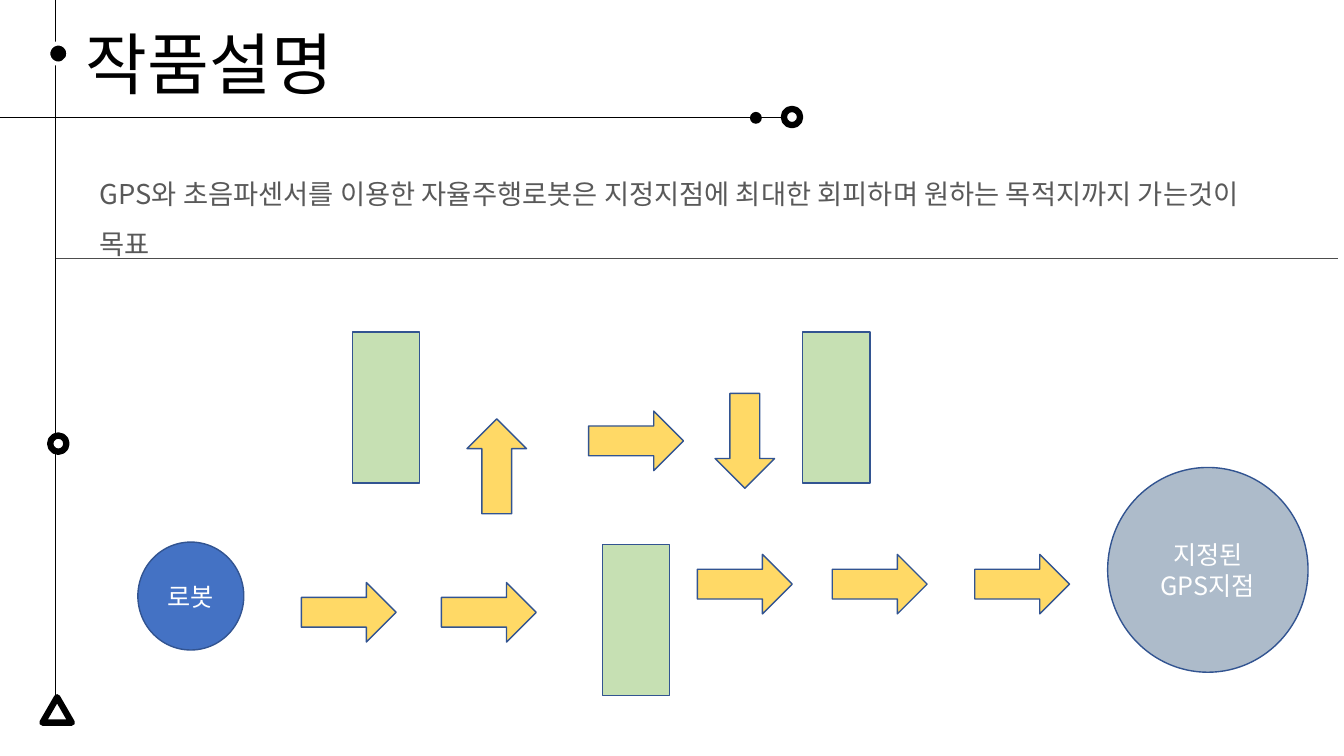
from lxml.etree import SubElement
from pptx import Presentation
from pptx.dml.color import RGBColor
from pptx.enum.shapes import MSO_CONNECTOR, MSO_SHAPE
from pptx.enum.text import MSO_ANCHOR, PP_ALIGN
from pptx.oxml.ns import qn
from pptx.util import Cm, Pt

FONT = "Noto Sans CJK KR"
BLACK = RGBColor(0x00, 0x00, 0x00)
WHITE = RGBColor(0xFF, 0xFF, 0xFF)
DARK_GREY = RGBColor(0x4D, 0x4D, 0x4D)
TEXT_GREY = RGBColor(0x59, 0x59, 0x59)
OUTLINE_BLUE = RGBColor(0x32, 0x54, 0x91)
ROBOT_BLUE = RGBColor(0x44, 0x72, 0xC4)
GOAL_GREY = RGBColor(0xAD, 0xBB, 0xCA)
OBSTACLE_GREEN = RGBColor(0xC6, 0xE0, 0xB3)
ARROW_YELLOW = RGBColor(0xFF, 0xD9, 0x66)


def write_lines(frame, lines, size, color, align=PP_ALIGN.LEFT, spacing=None):
    for index, line in enumerate(lines):
        paragraph = frame.paragraphs[0] if index == 0 else frame.add_paragraph()
        paragraph.text = line
        paragraph.alignment = align
        paragraph.line_spacing = spacing
        font = paragraph.font
        font.size = Pt(size)
        font.name = FONT
        font.color.rgb = color
        properties = paragraph._p.pPr.find(qn("a:defRPr"))
        SubElement(properties, qn("a:ea")).set("typeface", FONT)


def add_text(slide, left, top, width, height, text, size, color, wrap, spacing=None):
    box = slide.shapes.add_textbox(Cm(left), Cm(top), Cm(width), Cm(height))
    box.text_frame.word_wrap = wrap
    write_lines(box.text_frame, [text], size, color, spacing=spacing)


def add_line(slide, x1, y1, x2, y2, color):
    line = slide.shapes.add_connector(
        MSO_CONNECTOR.STRAIGHT, Cm(x1), Cm(y1), Cm(x2), Cm(y2)
    )
    line.line.color.rgb = color
    line.line.width = Pt(0.5)
    SubElement(line._element.spPr, qn("a:effectLst"))


def add_centered(slide, kind, x, y, width, height, fill,
                 outline=OUTLINE_BLUE, weight=1):
    shape = slide.shapes.add_shape(
        kind, Cm(x - width / 2), Cm(y - height / 2), Cm(width), Cm(height)
    )
    shape.shadow.inherit = False
    shape.fill.solid()
    shape.fill.fore_color.rgb = fill
    if outline is None:
        shape.line.fill.background()
    else:
        shape.line.color.rgb = outline
        shape.line.width = Pt(weight)
    return shape


def add_place(slide, x, y, width, height, fill, lines):
    place = add_centered(slide, MSO_SHAPE.OVAL, x, y, width, height, fill)
    place.text_frame.word_wrap = True
    place.text_frame.vertical_anchor = MSO_ANCHOR.MIDDLE
    write_lines(place.text_frame, lines, 18, WHITE, PP_ALIGN.CENTER)


def add_frame(slide):
    add_line(slide, 0, 2.95, 20.14, 2.95, BLACK)
    add_line(slide, 1.4, 0, 1.4, 18.06, BLACK)
    add_line(slide, 1.4, 6.5, 33.73, 6.5, DARK_GREY)
    add_centered(slide, MSO_SHAPE.OVAL, 19.05, 2.97, 0.3, 0.3, BLACK, None)
    add_centered(slide, MSO_SHAPE.OVAL, 1.47, 1.35, 0.51, 0.51, BLACK, WHITE, 3)
    for x, y in [(1.47, 11.18), (19.96, 2.95)]:
        add_centered(slide, MSO_SHAPE.OVAL, x, y, 0.41, 0.41, WHITE, BLACK, 4.5)
    add_centered(slide, MSO_SHAPE.ISOSCELES_TRIANGLE, 1.44, 17.89, 0.74, 0.64,
                 WHITE, BLACK, 4.5)


def add_route(slide):
    for x, y in [(9.73, 10.27), (21.08, 10.27), (16.03, 15.63)]:
        add_centered(slide, MSO_SHAPE.RECTANGLE, x, y, 1.7, 3.81, OBSTACLE_GREEN)
    steps = [
        (8.79, 15.43, 0), (12.32, 15.43, 0), (12.52, 11.75, 270),
        (16.03, 11.11, 0), (18.77, 11.11, 90),
        (18.77, 14.72, 0), (22.17, 14.72, 0), (25.76, 14.72, 0),
    ]
    for x, y, turn in steps:
        arrow = add_centered(slide, MSO_SHAPE.RIGHT_ARROW, x, y, 2.39, 1.5,
                             ARROW_YELLOW)
        arrow.rotation = turn


def main():
    presentation = Presentation()
    presentation.slide_width = Cm(33.87)
    presentation.slide_height = Cm(19.05)
    slide = presentation.slides.add_slide(presentation.slide_layouts[6])
    add_frame(slide)
    add_text(slide, 1.91, 0.43, 7.29, 2.31, "작품설명", 48, BLACK, False)
    add_text(
        slide, 2.26, 3.94, 30.3, 1.5,
        "GPS와 초음파센서를 이용한 자율주행로봇은 지정지점에 최대한 회피하며 "
        "원하는 목적지까지 가는것이 목표",
        19.5, TEXT_GREY, True, 1.5,
    )
    add_place(slide, 4.81, 15.02, 2.67, 2.72, ROBOT_BLUE, ["로봇"])
    add_place(slide, 30.44, 14.36, 5.05, 5.16, GOAL_GREY, ["지정된", "GPS지점"])
    add_route(slide)
    presentation.save("out.pptx")


if __name__ == "__main__":
    main()
